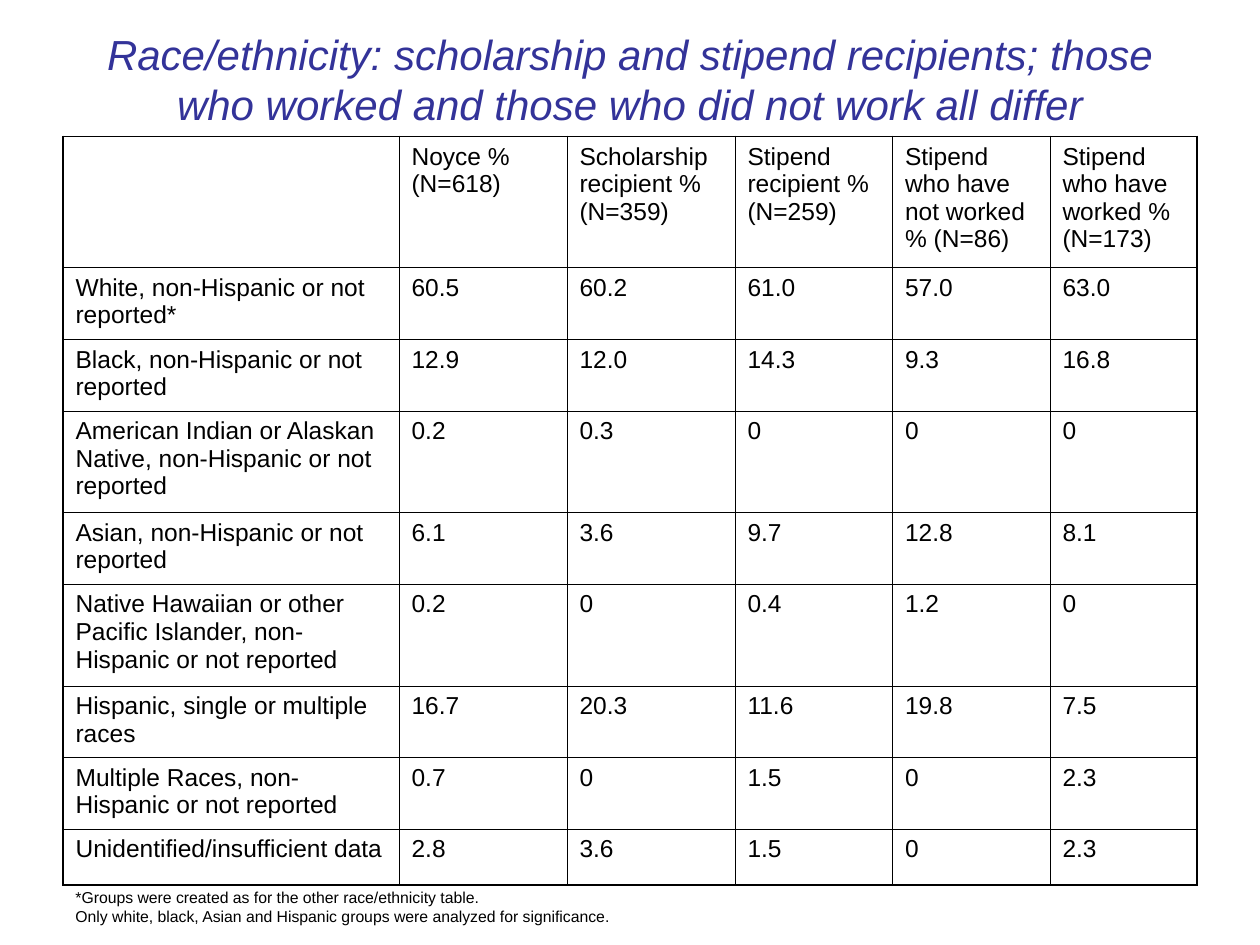
from lxml import etree
from pptx import Presentation
from pptx.dml.color import RGBColor
from pptx.enum import text as t
from pptx.oxml.ns import qn
from pptx.util import Pt

TITLE = ("Race/ethnicity: scholarship and stipend recipients; those who worked "
         "and those who did not work all differ")
NOTES = ["*Groups were created as for the other race/ethnicity table.",
         "Only white, black, Asian and Hispanic groups were analyzed for significance."]
WIDTHS = [192, 96, 96, 90, 90, 84]
TALL = [75, 41, 41, 58, 41, 58, 41, 41, 32]
ROWS = [
    ["", "Noyce % (N=618)", "Scholarship recipient % (N=359)",
     "Stipend recipient % (N=259)", "Stipend who have not worked % (N=86)",
     "Stipend who have worked % (N=173)"],
    ["White, non-Hispanic or not reported*", "60.5", "60.2", "61.0", "57.0", "63.0"],
    ["Black, non-Hispanic or not reported", "12.9", "12.0", "14.3", "9.3", "16.8"],
    ["American Indian or Alaskan Native, non-Hispanic or not reported",
     "0.2", "0.3", "0", "0", "0"],
    ["Asian, non-Hispanic or not reported", "6.1", "3.6", "9.7", "12.8", "8.1"],
    ["Native Hawaiian or other Pacific Islander, non-Hispanic or not reported",
     "0.2", "0", "0.4", "1.2", "0"],
    ["Hispanic, single or multiple races", "16.7", "20.3", "11.6", "19.8", "7.5"],
    ["Multiple Races, non-Hispanic or not reported", "0.7", "0", "1.5", "0", "2.3"],
    ["Unidentified/insufficient data", "2.8", "3.6", "1.5", "0", "2.3"],
]


def paint(font, tint):
    font.color.rgb = RGBColor.from_string(tint)


def write(frame, words, size=14, tint="000000", face="Arial", slant=False,
          align=t.PP_ALIGN.LEFT, anchor=t.MSO_ANCHOR.TOP):
    frame.word_wrap = True
    frame.vertical_anchor = anchor
    frame.text = words
    for para in frame.paragraphs:
        para.alignment = align
        para.font.size = Pt(size)
        for run in para.runs:
            font = run.font
            font.name, font.size, font.italic = face, Pt(size), slant
            paint(font, tint)


class Deck:
    thin, thick, ink = 0.45, 1.08, "000000"

    def __init__(self, wide, high):
        self.file = Presentation()
        self.file.slide_width, self.file.slide_height = Pt(wide), Pt(high)
        self.slide = self.file.slides.add_slide(self.file.slide_layouts[6])

    def text(self, words, left, top, wide, high, **style):
        box = self.slide.shapes.add_textbox(Pt(left), Pt(top), Pt(wide), Pt(high))
        write(box.text_frame, words, **style)

    def edge(self, cell, outer):
        props = cell._tc.get_or_add_tcPr()
        for spot, side in enumerate("LRTB"):
            width = self.thick if side in outer else self.thin
            line = etree.Element(qn("a:ln" + side), w=str(int(Pt(width))))
            fill = etree.SubElement(line, qn("a:solidFill"))
            etree.SubElement(fill, qn("a:srgbClr"), val=self.ink)
            props.insert(spot, line)

    def table(self, rows, widths, tall, left, top):
        grid = self.slide.shapes.add_table(
            len(rows), len(widths), Pt(left), Pt(top),
            Pt(sum(widths)), Pt(sum(tall))).table
        grid.first_row = grid.horz_banding = False
        for col, width in zip(grid.columns, widths):
            col.width = Pt(width)
        for row, high in zip(grid.rows, tall):
            row.height = Pt(high)
        for r, row in enumerate(rows):
            for c, words in enumerate(row):
                cell = grid.cell(r, c)
                write(cell.text_frame, words)
                cell.fill.background()
                ends = {"L": c == 0, "R": c == len(widths) - 1,
                        "T": r == 0, "B": r == len(rows) - 1}
                self.edge(cell, [side for side in ends if ends[side]])


def main():
    deck = Deck(720, 540)
    deck.text(TITLE, 36, 12, 648, 66, size=24, tint="333399", slant=True,
              align=t.PP_ALIGN.CENTER, anchor=t.MSO_ANCHOR.MIDDLE)
    deck.table(ROWS, WIDTHS, TALL, 36, 78)
    deck.text("\n".join(NOTES), 36, 504, 320, 39, size=9)
    deck.file.save("out.pptx")


if __name__ == "__main__":
    main()
